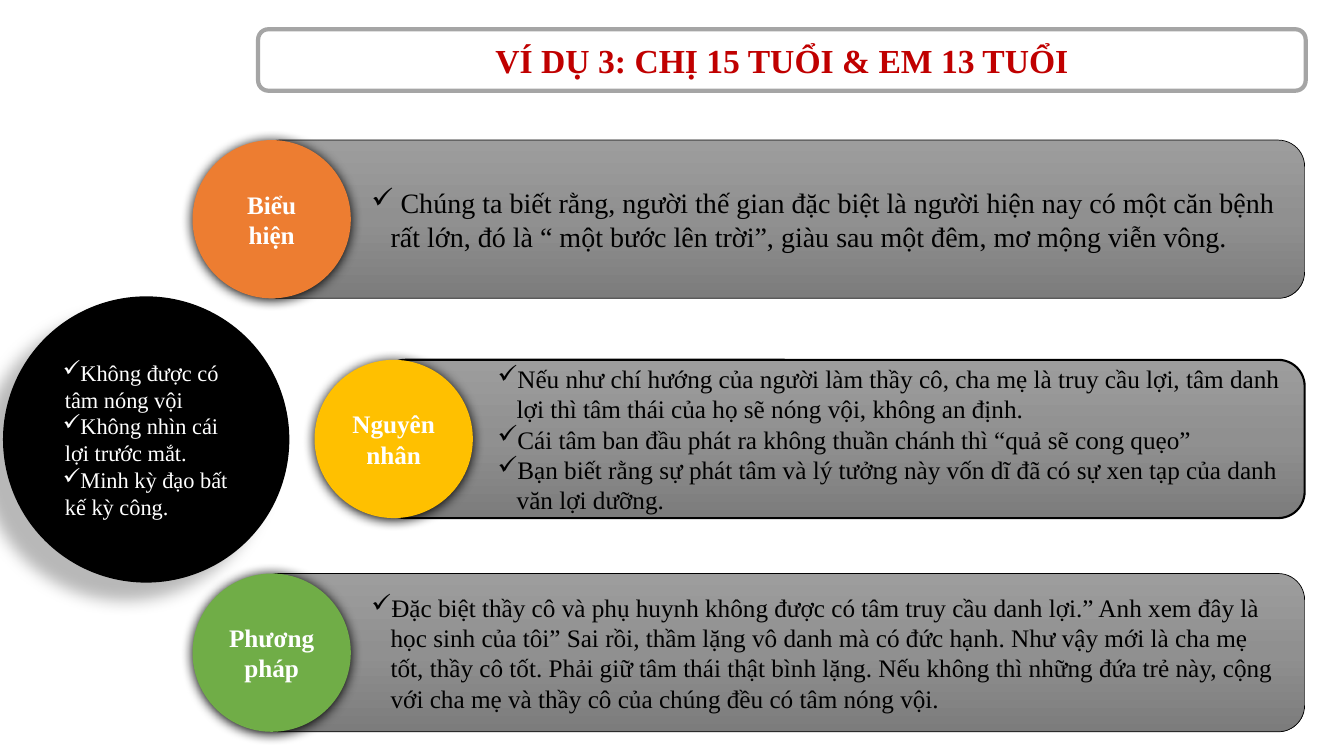
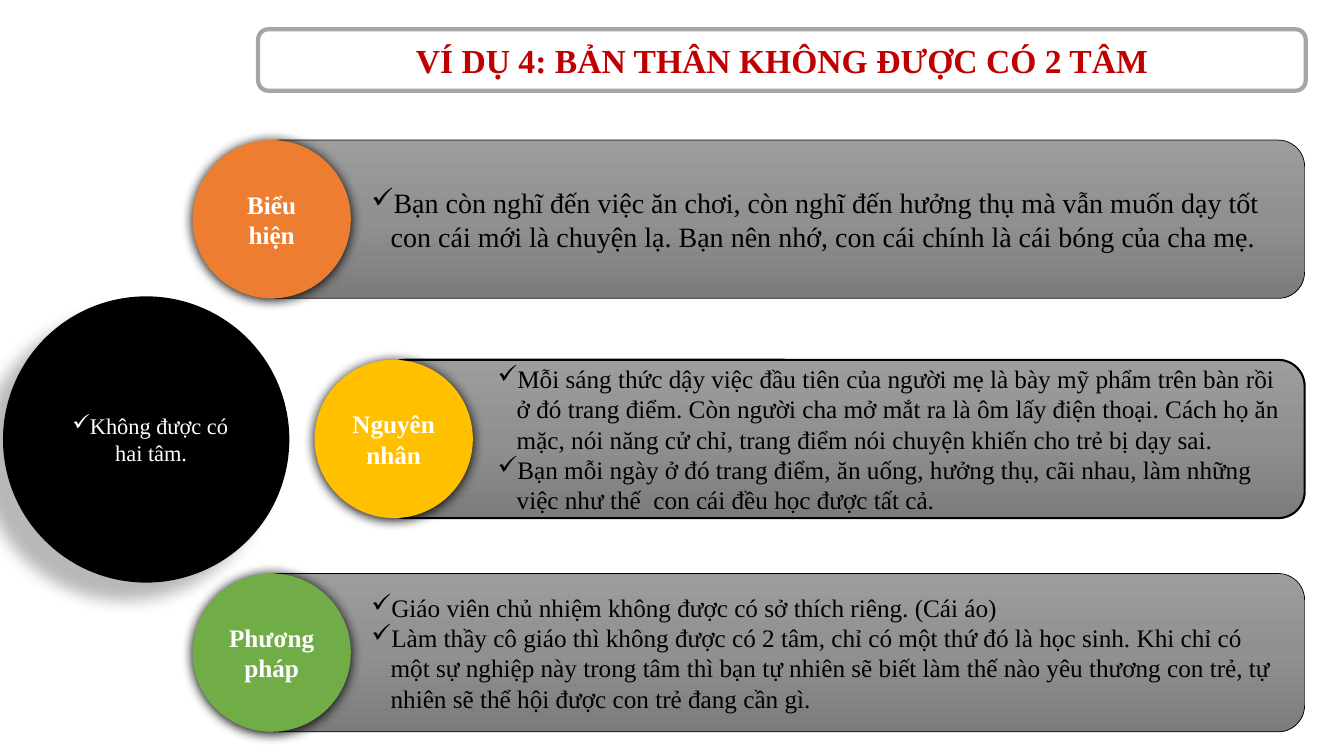
from lxml import etree
from pptx import Presentation
from pptx import util as u
from pptx.dml import color
from pptx.enum import shapes, text
from pptx.oxml import ns

COLOURS = {
    "title": "C00000",
    "frame": "A5A5A5",
    "white": "FFFFFF",
    "black": "000000",
    "symptom": "ED7D31",
    "cause": "FFC000",
    "method": "70AD47",
}
BAND_STOPS = ((0, "9D9D9D"), (50, "909090"), (100, "7C7C7C"))
FONT = "Times New Roman"
RIGHT_EDGE = 12.94
ROW_HEIGHT = 1.57
ROWS = (
    ("Biểu hiện", "symptom", 1.91, 2.51, 1.39, 0.5, 20),
    ("Nguyên nhân", "cause", 3.12, 3.76, 3.57, 1.5, 18),
    ("Phương pháp", "method", 1.91, 2.51, 5.69, 0.5, 18),
)
LABEL_SHADOW = dict(alpha=100, blur=8.5, distance=1, angle=90)
LESSON_SHADOW = dict(alpha=28, blur=11.8, distance=19.7, angle=141)
LEFT = text.PP_ALIGN.LEFT
CENTER = text.PP_ALIGN.CENTER

EXAMPLES = (
    {
        "title": "VÍ DỤ 3: CHỊ 15 TUỔI & EM 13 TUỔI",
        "lesson": (
            "Không được có tâm nóng vội",
            "Không nhìn cái lợi trước mắt.",
            "Minh kỳ đạo bất kế kỳ công.",
        ),
        "lesson_align": LEFT,
        "rows": (
            (" Chúng ta biết rằng, người thế gian đặc biệt là người hiện nay có một căn bệnh "
             "rất lớn, đó là “ một bước lên trời”, giàu sau một đêm, mơ mộng viễn vông.",),
            ("Nếu như chí hướng của người làm thầy cô, cha mẹ là truy cầu lợi, tâm danh "
             "lợi thì tâm thái của họ sẽ nóng vội, không an định.",
             "Cái tâm ban đầu phát ra không thuần chánh thì “quả sẽ cong quẹo”",
             "Bạn biết rằng sự phát tâm và lý tưởng này vốn dĩ đã có sự xen tạp của danh "
             "văn lợi dưỡng."),
            ("Đặc biệt thầy cô và phụ huynh không được có tâm truy cầu danh lợi.” Anh xem đây là "
             "học sinh của tôi” Sai rồi, thầm lặng vô danh mà có đức hạnh. Như vậy mới là cha mẹ tốt, "
             "thầy cô tốt. Phải giữ tâm thái thật bình lặng. Nếu không thì những đứa trẻ này, cộng với "
             "cha mẹ và thầy cô của chúng đều có tâm nóng vội.",),
        ),
    },
    {
        "title": "VÍ DỤ 4: BẢN THÂN KHÔNG ĐƯỢC CÓ 2 TÂM",
        "lesson": ("Không được có hai tâm.",),
        "lesson_align": CENTER,
        "rows": (
            ("Bạn còn nghĩ đến việc ăn chơi, còn nghĩ đến hưởng thụ mà vẫn muốn dạy tốt "
             "con cái mới là chuyện lạ. Bạn nên nhớ, con cái chính là cái bóng của cha mẹ.",),
            ("Mỗi sáng thức dậy việc đầu tiên của người mẹ là bày mỹ phẩm trên bàn rồi "
             "ở đó trang điểm. Còn người cha mở mắt ra là ôm lấy điện thoại. Cách họ ăn "
             "mặc, nói năng cử chỉ, trang điểm nói chuyện khiến cho trẻ bị dạy sai.",
             "Bạn mỗi ngày ở đó trang điểm, ăn uống, hưởng thụ, cãi nhau, làm những "
             "việc như thế  con cái đều học được tất cả."),
            ("Giáo viên chủ nhiệm không được có sở thích riêng. (Cái áo)",
             "Làm thầy cô giáo thì không được có 2 tâm, chỉ có một thứ đó là học sinh. Khi chỉ có "
             "một sự nghiệp này trong tâm thì bạn tự nhiên sẽ biết làm thế nào yêu thương con trẻ, tự "
             "nhiên sẽ thể hội được con trẻ đang cần gì."),
        ),
    },
)


def rgb(name):
    return color.RGBColor.from_string(COLOURS[name])


def add_node(parent, tag, **attributes):
    values = {key: str(value) for key, value in attributes.items()}
    return etree.SubElement(parent, ns.qn(tag), values)


def write_text(shape, paragraphs, size, colour, bold=False, align=LEFT, indent=None):
    frame = shape.text_frame
    frame.word_wrap = True
    frame.vertical_anchor = text.MSO_ANCHOR.MIDDLE
    for index, content in enumerate(paragraphs):
        paragraph = frame.paragraphs[0] if index == 0 else frame.add_paragraph()
        paragraph.alignment = align
        run = paragraph.add_run()
        run.text = content
        run.font.name = FONT
        run.font.size = u.Pt(size)
        run.font.bold = bold
        run.font.color.rgb = rgb(colour)
        if indent:
            properties = paragraph._p.get_or_add_pPr()
            properties.set("marL", str(u.Inches(indent[0])))
            properties.set("indent", str(u.Inches(indent[1])))
            add_node(properties, "a:buChar", char="✓")


class Deck:
    def __init__(self):
        self.presentation = Presentation()
        self.presentation.slide_width = u.Inches(13.33)
        self.presentation.slide_height = u.Inches(7.5)
        self.slide = None

    def new_slide(self):
        self.slide = self.presentation.slides.add_slide(self.presentation.slide_layouts[6])

    def shape(self, kind, left, top, width, height, fill=None, line=None, weight=1):
        box = [u.Inches(length) for length in (left, top, width, height)]
        shape = self.slide.shapes.add_shape(kind, *box)
        shape.shadow.inherit = False
        if fill:
            shape.fill.solid()
            shape.fill.fore_color.rgb = rgb(fill)
        if line:
            shape.line.color.rgb = rgb(line)
            shape.line.width = u.Pt(weight)
        else:
            shape.line.fill.background()
        return shape

    def title(self, content):
        shape = self.shape(shapes.MSO_SHAPE.ROUNDED_RECTANGLE, 2.56, 0.29, 10.39, 0.61,
                           "white", "frame", 3)
        write_text(shape, [content], size=24, colour="title", bold=True, align=CENTER)

    def band(self, left, top, weight, paragraphs, size):
        shape = self.shape(shapes.MSO_SHAPE.ROUNDED_RECTANGLE, left, top,
                           RIGHT_EDGE - left, ROW_HEIGHT, line="black", weight=weight)
        shape.fill.gradient()
        shape.fill.gradient_angle = 270
        stops = shape._element.spPr.find(ns.qn("a:gradFill")).find(ns.qn("a:gsLst"))
        for stop in list(stops):
            stops.remove(stop)
        for position, value in BAND_STOPS:
            stop = add_node(stops, "a:gs", pos=position * 1000)
            add_node(stop, "a:srgbClr", val=value)
        write_text(shape, paragraphs, size=size, colour="black", indent=(1.19, -0.19))

    def circle(self, left, top, diameter, fill, shadow):
        shape = self.shape(shapes.MSO_SHAPE.OVAL, left, top, diameter, diameter, fill)
        effects = shape._element.spPr.find(ns.qn("a:effectLst"))
        outer = add_node(effects, "a:outerShdw", blurRad=u.Pt(shadow["blur"]),
                         dist=u.Pt(shadow["distance"]), dir=shadow["angle"] * 60000,
                         algn="ctr", rotWithShape=0)
        tint = add_node(outer, "a:srgbClr", val=COLOURS["black"])
        add_node(tint, "a:alpha", val=shadow["alpha"] * 1000)
        return shape

    def label(self, left, top, fill, content):
        shape = self.circle(left, top, ROW_HEIGHT, fill, LABEL_SHADOW)
        write_text(shape, [content], size=18, colour="white", bold=True, align=CENTER)

    def lesson(self, paragraphs, align):
        shape = self.circle(0.03, 2.94, 2.84, "black", LESSON_SHADOW)
        write_text(shape, paragraphs, size=16, colour="white", align=align, indent=(0.1, -0.02))

    def example(self, title, lesson, lesson_align, rows):
        self.new_slide()
        self.lesson(lesson, lesson_align)
        for row, paragraphs in zip(ROWS, rows):
            name, fill, label_left, band_left, top, weight, size = row
            self.band(band_left, top, weight, paragraphs, size)
            self.label(label_left, top, fill, name)
        self.title(title)


def main():
    deck = Deck()
    for example in EXAMPLES:
        deck.example(**example)
    deck.presentation.save("out.pptx")


if __name__ == "__main__":
    main()
